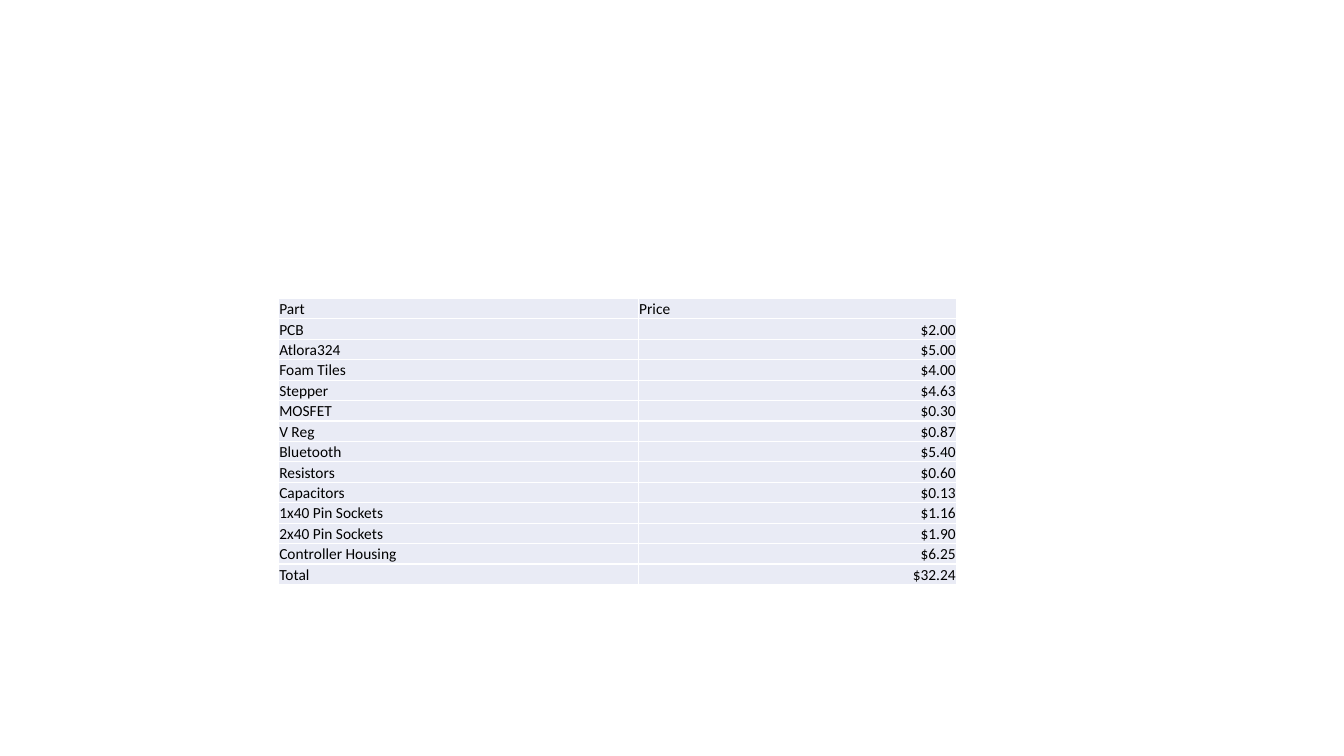
from lxml import etree
from pptx import Presentation, util as u
from pptx.dml.color import RGBColor
from pptx.enum import text
from pptx.oxml import ns

HEAD = ("Part", "Price")
PARTS = [
    ("PCB", 2.00),
    ("Atlora324", 5.00),
    ("Foam Tiles", 4.00),
    ("Stepper", 4.63),
    ("MOSFET", 0.30),
    ("V Reg", 0.87),
    ("Bluetooth", 5.40),
    ("Resistors", 0.60),
    ("Capacitors", 0.13),
    ("1x40 Pin Sockets", 1.16),
    ("2x40 Pin Sockets", 1.90),
    ("Controller Housing", 6.25),
]
COLORS = {"fill": "E9EBF5", "text": "000000", "line": "FFFFFF"}
LEFT, TOP, HIGH = 2.76, 2.96, 2.84
WIDTHS = (3.57, 3.16)
INSET = 0.01


def add_lines(cell):
    """Draw a one-point line on each side of the cell."""
    props = cell._tc.get_or_add_tcPr()
    for side in ("lnL", "lnR", "lnT", "lnB"):
        line = etree.SubElement(props, ns.qn("a:" + side), w=str(u.Pt(1)))
        fill = etree.SubElement(line, ns.qn("a:solidFill"))
        etree.SubElement(fill, ns.qn("a:srgbClr"), val=COLORS["line"])


def fill_cell(cell, words, align):
    """Write the words in the cell and style it."""
    add_lines(cell)
    cell.fill.solid()
    cell.fill.fore_color.rgb = RGBColor.from_string(COLORS["fill"])
    cell.margin_left = cell.margin_right = cell.margin_top = u.Inches(INSET)
    cell.margin_bottom = 0
    cell.vertical_anchor = text.MSO_ANCHOR.BOTTOM
    cell.text = words
    para = cell.text_frame.paragraphs[0]
    para.alignment = align
    para.font.name = "Calibri"
    para.font.size = u.Pt(11)
    para.font.color.rgb = RGBColor.from_string(COLORS["text"])


def add_prices(slide):
    """Add the table of parts, prices and their total."""
    total = ("Total", sum(price for _, price in PARTS))
    rows = [HEAD] + [(part, f"${price:.2f}") for part, price in PARTS + [total]]
    frame = slide.shapes.add_table(
        len(rows), len(HEAD), u.Inches(LEFT), u.Inches(TOP),
        u.Inches(sum(WIDTHS)), u.Inches(HIGH))
    table = frame.table
    table.first_row = table.horz_banding = False
    for col, width in zip(table.columns, WIDTHS):
        col.width = u.Inches(width)
    for r, row in enumerate(rows):
        table.rows[r].height = u.Inches(HIGH / len(rows))
        for c, words in enumerate(row):
            right = r > 0 and c == 1
            align = text.PP_ALIGN.RIGHT if right else text.PP_ALIGN.LEFT
            fill_cell(table.cell(r, c), words, align)


deck = Presentation()
deck.slide_width, deck.slide_height = u.Inches(13.33), u.Inches(7.5)
add_prices(deck.slides.add_slide(deck.slide_layouts[6]))
deck.save("out.pptx")
